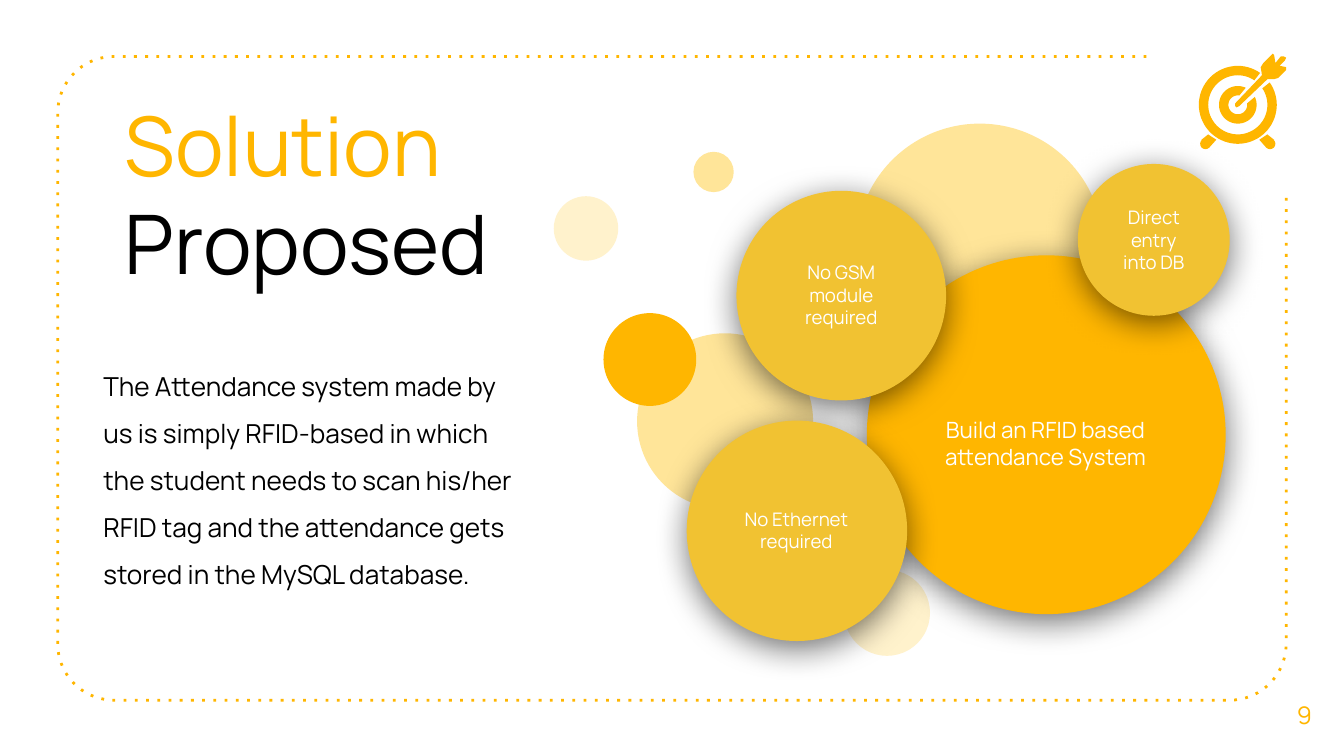
import math

import pptx
import pptx.dml.color
import pptx.enum.dml
import pptx.enum.shapes
import pptx.enum.text
import pptx.oxml
import pptx.oxml.ns
import pptx.util

Inches = pptx.util.Inches
ALIGN = pptx.enum.text.PP_ALIGN
ANCHOR = pptx.enum.text.MSO_ANCHOR
AMBER, GOLD, PALE, CREAM = "FFB600", "F1C232", "FFE599", "FFF2CC"
BLACK, WHITE = "000000", "FFFFFF"
SHADOW = (
    f'<a:outerShdw {pptx.oxml.ns.nsdecls("a")} blurRad="228600" dist="50800" '
    'dir="5400000" algn="bl" rotWithShape="0"><a:srgbClr val="000000">'
    '<a:alpha val="55000"/></a:srgbClr></a:outerShdw>'
)

rgb = pptx.dml.color.RGBColor.from_string


def add_text(shapes, place, lines, size, frame_format, para_format):
    """Add one paragraph; lines holds (text, colour) pairs parted by line breaks."""
    box = shapes.add_textbox(*map(Inches, place))
    frame = box.text_frame
    for name, value in {"word_wrap": True, **frame_format}.items():
        setattr(frame, name, value)
    para = frame.paragraphs[0]
    for name, value in para_format.items():
        setattr(para, name, value)
    for number, (text, colour) in enumerate(lines):
        if number:
            para.add_line_break()
        span = para.add_run()
        span.text = text
        for name, value in {"name": "Manrope", "size": pptx.util.Pt(size)}.items():
            setattr(span.font, name, value)
        span.font.color.rgb = rgb(colour)


def arc(x, y, radius, start, end, step=5):
    """Points on a circle, in degrees counterclockwise from the right."""
    count = max(1, round(abs(end - start) / step))
    angles = [math.radians(start + (end - start) * i / count) for i in range(count + 1)]
    return [(x + radius * math.cos(a), y - radius * math.sin(a)) for a in angles]


deck = pptx.Presentation()
deck.slide_width = Inches(10)
deck.slide_height = Inches(10) * 9 // 16
page = deck.slides.add_slide(deck.slide_layouts[6])

# Dotted frame, open at the top right for the icon
left, top, right, bottom, corner = 0.43, 0.42, 9.57, 5.21, 0.42
frame_points = [
    (8.53, top),
    *arc(left + corner, top + corner, corner, 90, 180),
    *arc(left + corner, bottom - corner, corner, 180, 270),
    *arc(right - corner, bottom - corner, corner, 270, 360),
    (right, 1.46),
]
frame_points = [(Inches(x), Inches(y)) for x, y in frame_points]
builder = page.shapes.build_freeform(*frame_points[0])
builder.add_line_segments(frame_points[1:], close=False)
border = builder.convert_to_shape()
border.shadow.inherit = False
border.fill.background()
border.line.color.rgb = rgb(AMBER)
border.line.width = pptx.util.Pt(1.5)
border.line.dash_style = pptx.enum.dml.MSO_LINE.ROUND_DOT
# The wider-spaced "dot" preset has no member in MSO_LINE
dash = border._element.spPr.find(".//" + pptx.oxml.ns.qn("a:prstDash"))
dash.set("val", "dot")

# Title and page number
margins = {f"margin_{side}": Inches(0.1) for side in ("left", "top", "right", "bottom")}
middle = {**margins, "vertical_anchor": ANCHOR.MIDDLE}
centred = {"alignment": ALIGN.CENTER}
title = [("Solution", AMBER), ("Proposed", BLACK)]
add_text(page.shapes, (0.83, 0.6, 3.35, 1.52), title, 44, margins, {})
add_text(page.shapes, (9.41, 5.02, 0.59, 0.6), [("9", AMBER)], 13, middle, centred)

# Circles: left, top, diameter, colour, and for bubbles the label's place, text and size
plain_circles = [
    (6.28, 4.24, 0.64, CREAM, None),
    (4.12, 1.46, 0.48, CREAM, None),
    (4.74, 2.48, 1.31, PALE, None),
    (6.37, 0.92, 1.84, PALE, None),
    (4.49, 2.33, 0.69, AMBER, None),
    (5.16, 1.13, 0.3, PALE, None),
]
bubbles = [
    (6.45, 1.9, 2.67, AMBER,
     ((6.76, 2.66, 2.04, 1.27), "Build an RFID based attendance System", 12)),
    (5.48, 1.42, 1.56, GOLD, ((5.73, 1.68, 1.06, 1.03), "No GSM module required", 10)),
    (5.11, 3.13, 1.64, GOLD, ((5.34, 3.43, 1.17, 1.03), "No Ethernet required", 10)),
    (8.02, 1.22, 1.13, GOLD, ((8.2, 1.41, 0.77, 0.75), "Direct entry into DB", 10)),
]
for cluster in [plain_circles, *([bubble] for bubble in bubbles)]:
    group = page.shapes.add_group_shape()
    for x, y, diameter, colour, label in cluster:
        circle = group.shapes.add_shape(
            pptx.enum.shapes.MSO_SHAPE.OVAL, *map(Inches, (x, y, diameter, diameter)))
        circle.shadow.inherit = False
        circle.fill.solid()
        circle.fill.fore_color.rgb = rgb(colour)
        circle.line.fill.background()
        if label:
            effects = circle._element.spPr.find(pptx.oxml.ns.qn("a:effectLst"))
            effects.append(pptx.oxml.parse_xml(SHADOW))
            place, text, size = label
            add_text(group.shapes, place, [(text, WHITE)], size, middle, centred)

# Target icon: two rings open towards the arrow, two feet, one arrow
centre_x, centre_y = 9.21, 0.78
icon_parts = []
for outer, inner, outer_gap, inner_gap in [(0.29, 0.22, 10, 11), (0.14, 0.07, 20, 36)]:
    icon_parts.append(
        arc(centre_x, centre_y, outer, 45 + outer_gap, 405 - outer_gap)
        + arc(centre_x, centre_y, inner, 405 - inner_gap, 45 + inner_gap))
left_foot = [(9.05, 1.04), (8.99, 1), (8.94, 1.04),
             *arc(8.97, 1.07, 0.04, 135, 315, 20)]
icon_parts += [left_foot, [(2 * centre_x - x, y) for x, y in left_foot]]
icon_parts.append([
    (9.47, 0.4), (9.46, 0.41), (9.4, 0.47), (9.38, 0.5), (9.39, 0.56),
    (9.19, 0.77), (9.19, 0.79), (9.2, 0.8), (9.22, 0.79), (9.43, 0.59),
    (9.48, 0.59), (9.51, 0.58), (9.57, 0.52), (9.57, 0.5), (9.52, 0.49),
    (9.56, 0.45), (9.57, 0.43), (9.55, 0.42), (9.53, 0.42), (9.49, 0.47),
    (9.48, 0.41),
])
icon = page.shapes.add_group_shape()
for points in icon_parts:
    points = [(Inches(x), Inches(y)) for x, y in points]
    builder = icon.shapes.build_freeform(*points[0])
    builder.add_line_segments(points[1:])
    part = builder.convert_to_shape()
    part.shadow.inherit = False
    part.fill.solid()
    part.fill.fore_color.rgb = rgb(AMBER)
    part.line.fill.background()

# Explanation
explanation = (
    "The Attendance system made by us is simply RFID-based in which the student "
    "needs to scan his/her RFID tag and the attendance gets stored in the MySQL database."
)
add_text(page.shapes, (0.67, 2.59, 3.31, 1.87), [(explanation, BLACK)], 14,
         {"auto_size": pptx.enum.text.MSO_AUTO_SIZE.SHAPE_TO_FIT_TEXT},
         {"line_spacing": 1.5})

deck.save("out.pptx")
